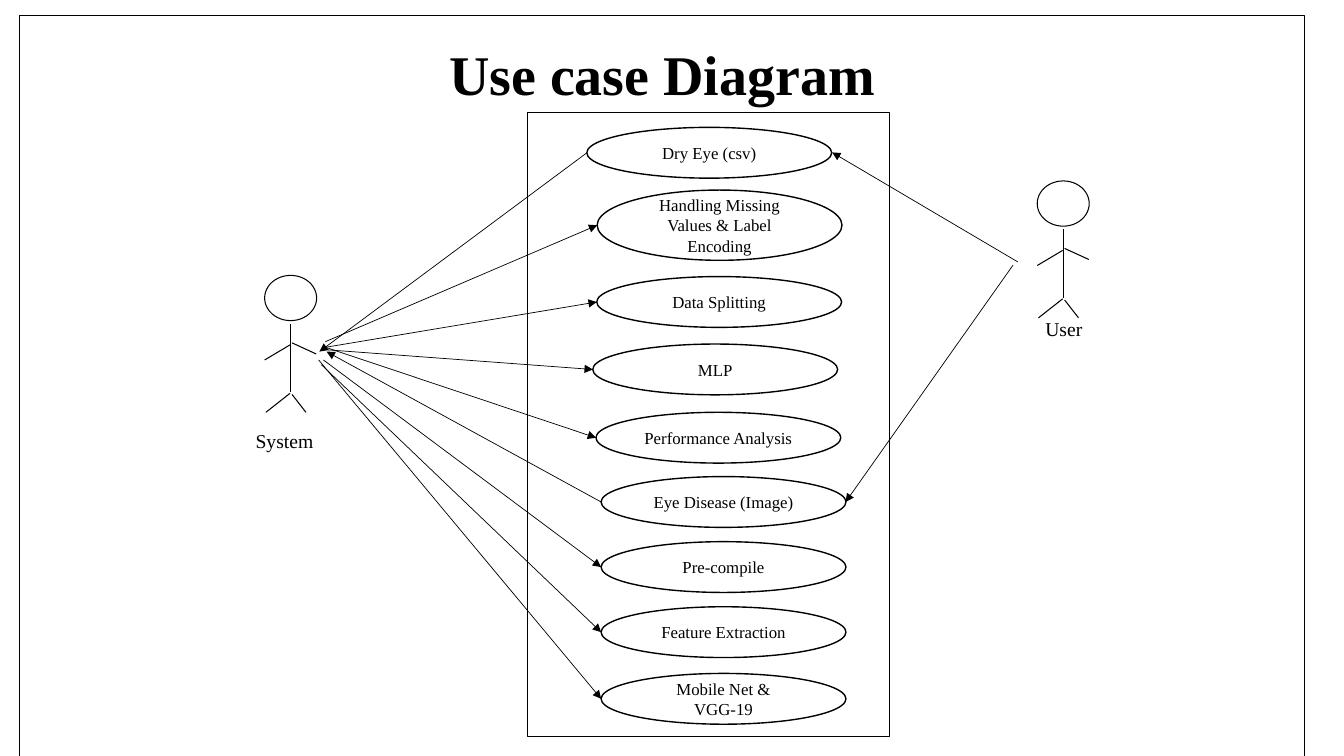
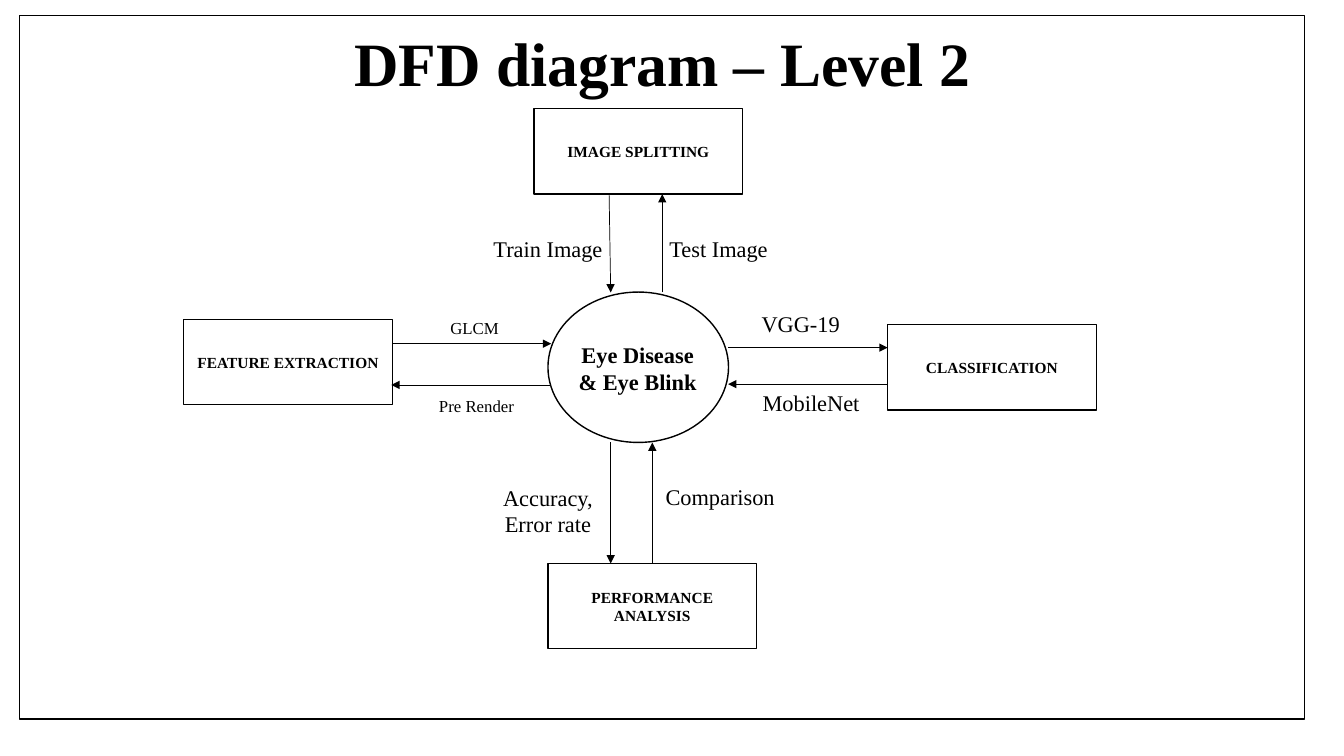
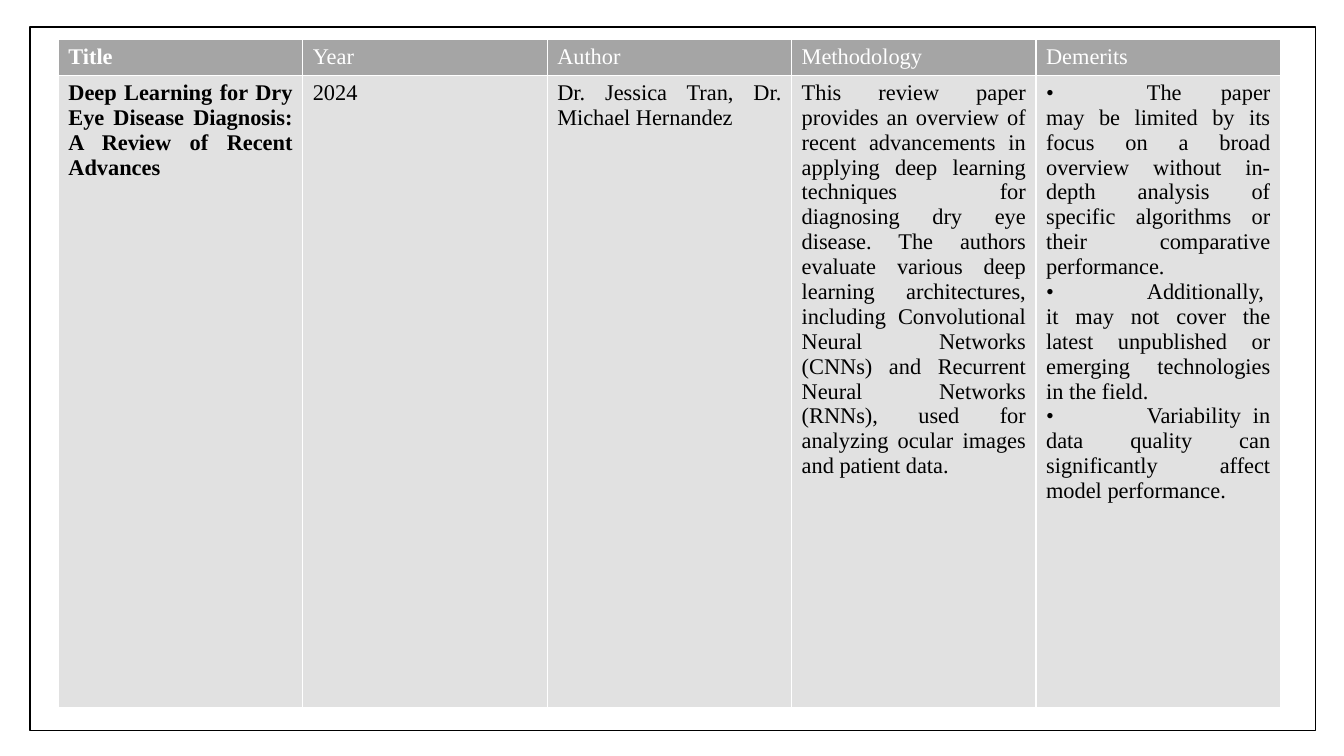
"""Build the use case, data flow and literature review slides."""
from lxml import etree
from pptx import Presentation, util as u
from pptx.dml.color import RGBColor
from pptx.enum import shapes, text
from pptx.oxml import ns

Cm, Pt = u.Cm, u.Pt
hue = RGBColor.from_string
BLACK, WHITE, HEADER, BODY = "000000", "FFFFFF", "A5A5A5", "E1E1E1"
FONT = "Times New Roman"
RECT, OVAL = shapes.MSO_SHAPE.RECTANGLE, shapes.MSO_SHAPE.OVAL
FRAME_WIDTH, FRAME_HEIGHT = 32.39, 17.73


def add_box(page, kind, place, words="", size=12, bold=False, line=1, fill=None):
    """Place a title, a text box or a preset shape with centred black text."""
    spot = [Cm(value) for value in place]
    if kind == "title":
        box = page.shapes.title
        box.left, box.top, box.width, box.height = spot
    elif kind == "text":
        box = page.shapes.add_textbox(*spot)
    else:
        box = page.shapes.add_shape(kind, *spot)
        box.shadow.inherit = False
        box.line.color.rgb = hue(BLACK)
        box.line.width = Pt(line)
        if fill:
            box.fill.solid()
            box.fill.fore_color.rgb = hue(fill)
        else:
            box.fill.background()
    frame = box.text_frame
    frame.text = words
    layout = {"word_wrap": True, "auto_size": text.MSO_AUTO_SIZE.NONE,
              "vertical_anchor": text.MSO_ANCHOR.MIDDLE}
    for name, value in layout.items():
        setattr(frame, name, value)
    for para in frame.paragraphs:
        para.alignment = text.PP_ALIGN.CENTER
        for span in para.runs:
            for name, value in {"name": FONT, "size": Pt(size), "bold": bold}.items():
                setattr(span.font, name, value)
            span.font.color.rgb = hue(BLACK)
    return box


def add_line(page, start, end, width=0.5, arrow=True):
    """Draw a straight black line, with an arrowhead at its end if asked."""
    ends = [Cm(value) for value in (*start, *end)]
    line = page.shapes.add_connector(shapes.MSO_CONNECTOR.STRAIGHT, *ends)
    line.line.color.rgb = hue(BLACK)
    line.line.width = Pt(width)
    props = line.element.spPr
    if arrow:
        etree.SubElement(props.find(ns.qn("a:ln")), ns.qn("a:tailEnd"), type="triangle")
    etree.SubElement(props, ns.qn("a:effectLst"))


deck = Presentation()
deck.slide_width, deck.slide_height = Cm(33.87), Cm(19.05)
title_only, blank = deck.slide_layouts[5], deck.slide_layouts[6]

page = deck.slides.add_slide(title_only)
add_box(page, "title", (1.75, 0.86, 29.87, 1.96), "Use case Diagram", 40, True)
add_box(page, RECT, (0.49, 0.39, FRAME_WIDTH, 18.77))
add_box(page, RECT, (13.3, 2.84, 9.12, 15.72), line=0.75)

limbs = [
    ((0.66, 1.22), (0.66, 2.94)),
    ((0.69, 1.7), (1.3, 1.98)),
    ((0.69, 3), (1.04, 3.45)),
    ((0.64, 2.97), (0.03, 3.45)),
    ((0.64, 1.75), (0, 2.13)),
]
actors = [("User", 26.14, 4.56, 25.31, 7.87), ("System", 6.67, 6.94, 5.67, 10.69)]
for name, left, top, label_left, label_top in actors:
    add_box(page, OVAL, (left, top, 1.31, 1.14), line=0.75)
    for start, end in limbs:
        add_line(page, (left + start[0], top + start[1]),
                 (left + end[0], top + end[1]), 0.75, False)
    add_box(page, "text", (label_left, label_top, 3, 0.84), name, 14)

CASE_WIDTH = 6.17
cases = [
    ("Dry Eye (csv)", 14.79, 3.21, 1.28, (8.05, 8.86), True),
    ("Handling Missing Values & Label Encoding", 15.05, 4.79, 1.77, (8.2, 8.61), False),
    ("Data Splitting", 15.04, 6.97, 1.28, (8.15, 8.76), False),
    ("MLP", 14.94, 8.67, 1.28, (8.18, 8.81), False),
    ("Performance Analysis", 15.02, 10.39, 1.28, (8.23, 8.76), False),
    ("Eye Disease (Image)", 15.15, 12.01, 1.28, (8.23, 8.86), True),
    ("Pre-compile", 15.15, 13.65, 1.28, (8.15, 9.07), False),
    ("Feature Extraction", 15.15, 15.29, 1.28, (8.1, 9.19), False),
    ("Mobile Net & VGG-19", 15.15, 16.97, 1.28, (8.03, 9.07), False),
]
for name, left, top, height, hand, to_system in cases:
    add_box(page, OVAL, (left, top, CASE_WIDTH, height), name, fill=WHITE)
    edge = (left, top + height / 2)
    add_line(page, *((edge, hand) if to_system else (hand, edge)))
for hand, edge in [((25.65, 6.6), (20.97, 3.84)), ((25.53, 6.68), (21.31, 12.65))]:
    add_line(page, hand, edge)

page = deck.slides.add_slide(title_only)
add_box(page, RECT, (0.49, 0.39, FRAME_WIDTH, FRAME_HEIGHT))
title = add_box(page, "title", (2.09, 0.33, 29.21, 2.67), "DFD diagram – Level 2", 44, True)
title.text_frame.paragraphs[0].line_spacing = 0.9
add_box(page, OVAL, (13.81, 7.36, 4.55, 3.79))
add_box(page, "text", (14.23, 8.46, 3.68, 1.63), "Eye Disease & Eye Blink", 16, True)

stages = [
    ("CLASSIFICATION", 22.37, 8.18),
    ("FEATURE EXTRACTION", 4.63, 8.05),
    ("PERFORMANCE ANALYSIS", 13.81, 14.2),
    ("IMAGE SPLITTING", 13.46, 2.74),
]
for name, left, top in stages:
    add_box(page, RECT, (left, top, 5.26, 2.15), name, 11, True, fill=WHITE)

flows = [
    ("GLCM", 12, (10.12, 7.87), 0.76, (9.88, 8.66), (13.89, 8.66)),
    ("Pre Render", 12, (10.17, 9.84), 0.76, (13.87, 9.7), (9.86, 9.7)),
    ("VGG-19", 16, (18.34, 7.68), 0.94, (18.35, 8.76), (22.37, 8.76)),
    ("MobileNet", 16, (18.6, 9.68), 0.94, (22.37, 9.68), (18.35, 9.68)),
    ("Train Image", 16, (11.97, 5.79), 0.94, (15.35, 4.88), (15.39, 7.37)),
    ("Test Image", 16, (16.27, 5.8), 0.94, (16.69, 7.37), (16.69, 4.89)),
    ("Accuracy,\nError rate", 16, (11.97, 12.05), 1.63, (15.39, 11.15), (15.39, 14.2)),
    ("Comparison", 16, (16.31, 12.04), 0.94, (16.44, 14.2), (16.44, 11.15)),
]
for name, size, corner, height, start, end in flows:
    add_line(page, start, end)
    add_box(page, "text", (*corner, 3.68, height), name, size)

page = deck.slides.add_slide(blank)
add_box(page, RECT, (0.76, 0.68, FRAME_WIDTH, FRAME_HEIGHT))
columns = [
    ("Title", "Deep Learning for Dry Eye Disease Diagnosis: A Review of Recent Advances"),
    ("Year", "2024"),
    ("Author", "Dr. Jessica Tran, Dr. Michael Hernandez"),
    ("Methodology",
     "This review paper provides an overview of recent advancements in applying deep "
     "learning techniques for diagnosing dry eye disease. The authors evaluate various "
     "deep learning architectures, including Convolutional Neural Networks (CNNs) and "
     "Recurrent Neural Networks (RNNs), used for analyzing ocular images and patient data."),
    ("Demerits",
     "•\tThe paper may be limited by its focus on a broad overview without in-depth "
     "analysis of specific algorithms or their comparative performance.\n"
     "•\tAdditionally, it may not cover the latest unpublished or emerging technologies "
     "in the field.\n"
     "•\tVariability in data quality can significantly affect model performance."),
]
row_styles = [
    (0.91, HEADER, WHITE, text.PP_ALIGN.LEFT),
    (15.92, BODY, BLACK, text.PP_ALIGN.JUSTIFY),
]
review = page.shapes.add_table(2, len(columns), Cm(1.47), Cm(0.99), Cm(30.8), Cm(16.83)).table
review.first_row = review.horz_banding = False
for row, (height, fill, ink, align) in enumerate(row_styles):
    review.rows[row].height = Cm(height)
    for column, words in enumerate(columns):
        cell = review.cell(row, column)
        props = cell._tc.get_or_add_tcPr()
        for side in ("a:lnL", "a:lnR", "a:lnT", "a:lnB"):
            border = etree.SubElement(props, ns.qn(side), w=str(Pt(1)))
            solid = etree.SubElement(border, ns.qn("a:solidFill"))
            etree.SubElement(solid, ns.qn("a:srgbClr"), val=WHITE)
        cell.fill.solid()
        cell.fill.fore_color.rgb = hue(fill)
        cell.text_frame.text = words[row]
        for para in cell.text_frame.paragraphs:
            para.alignment = align
            if "\t" in para.text:
                tabs = etree.SubElement(para._p.get_or_add_pPr(), ns.qn("a:tabLst"))
                etree.SubElement(tabs, ns.qn("a:tab"), pos=str(Cm(2.54)), algn="l")
            for span in para.runs:
                style = {"name": FONT, "size": Pt(16), "bold": column == 0}
                for name, value in style.items():
                    setattr(span.font, name, value)
                span.font.color.rgb = hue(ink)

deck.save("out.pptx")
